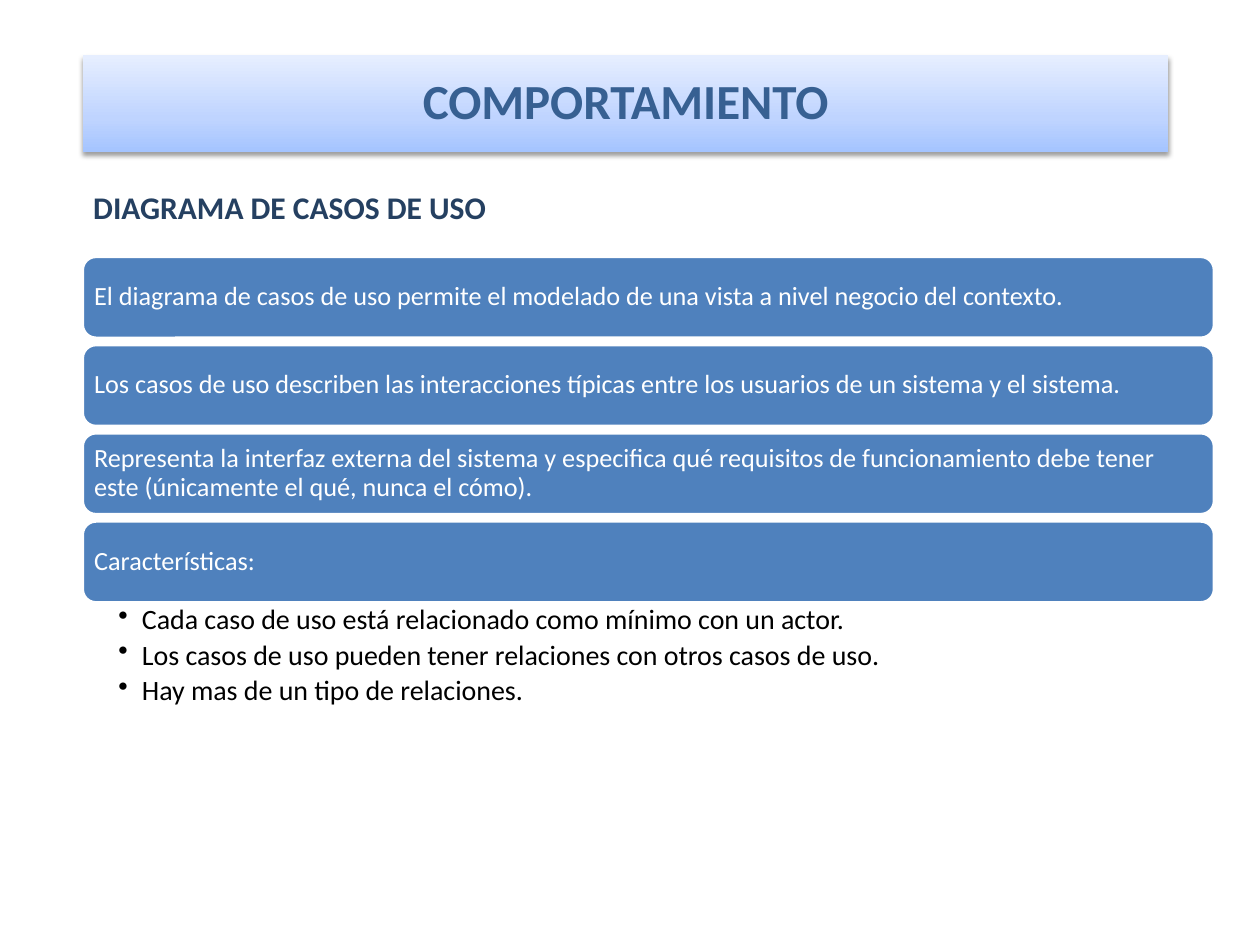
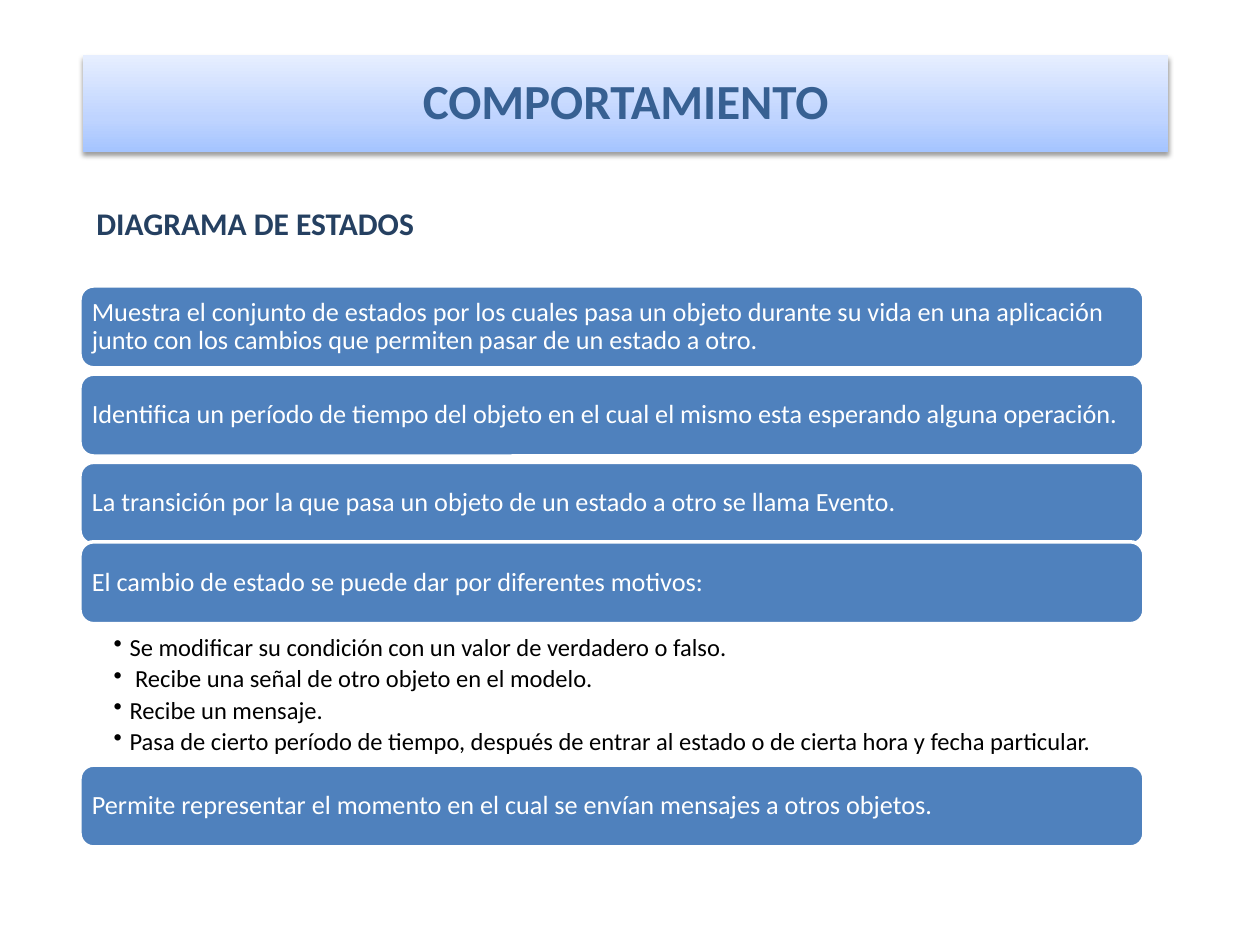
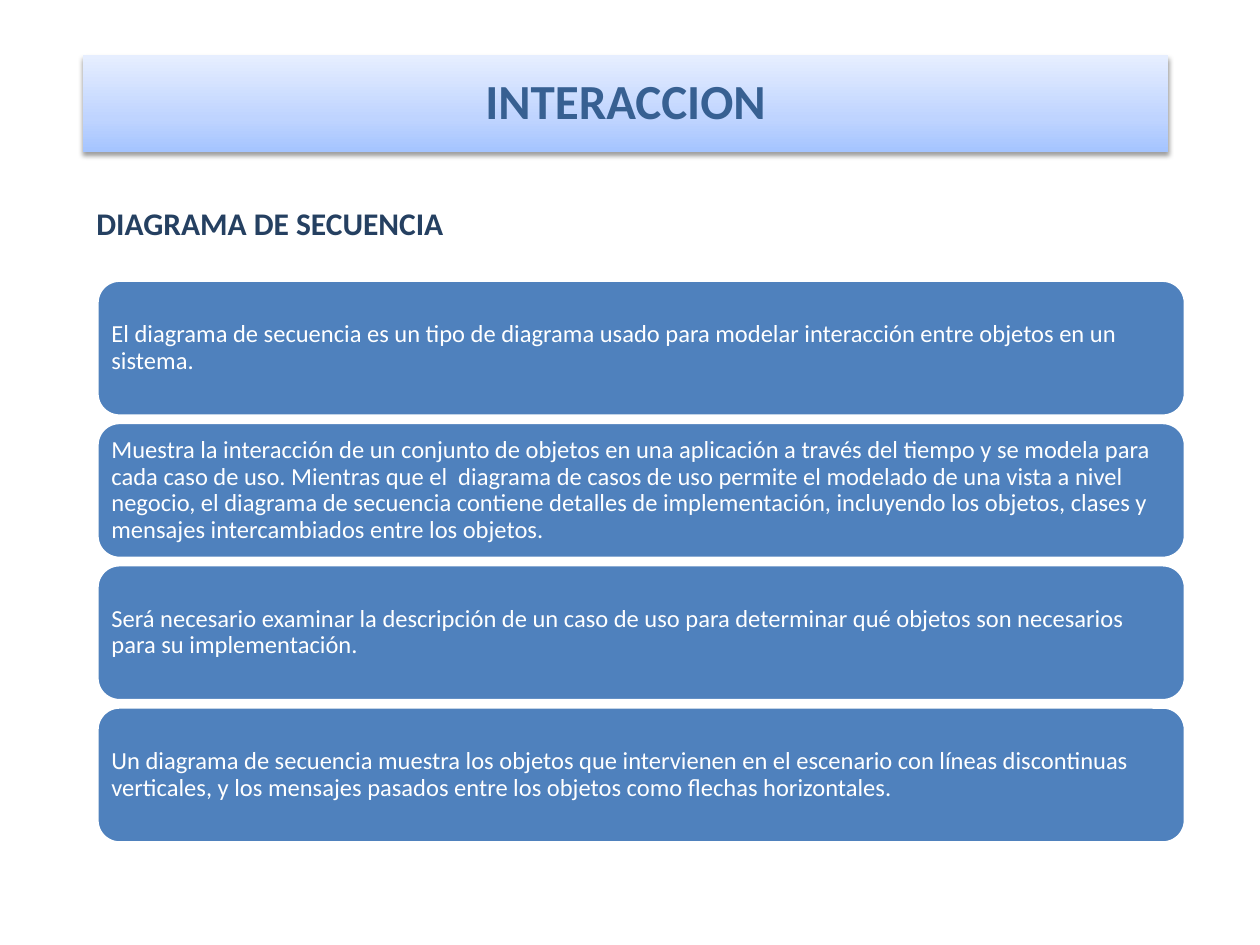
"""Build three slides on UML behaviour and interaction diagrams."""
from lxml import etree
from pptx import Presentation
from pptx.dml.color import RGBColor
from pptx.enum import shapes, text
from pptx.oxml import parse_xml
from pptx.oxml.ns import nsdecls, qn
from pptx.util import Pt

FONT = "Calibri"
WHITE = RGBColor(0xFF, 0xFF, 0xFF)
BLACK = RGBColor(0, 0, 0)
PANEL_BLUE = RGBColor(0x4F, 0x81, 0xBD)
TITLE_BLUE = RGBColor(0x37, 0x60, 0x92)
SUBTITLE_BLUE = RGBColor(0x25, 0x40, 0x61)
BAND_STOPS = [
    (0, RGBColor(0xA4, 0xC4, 0xFF)),
    (35, RGBColor(0xBF, 0xD4, 0xFF)),
    (100, RGBColor(0xE6, 0xEE, 0xFF)),
]
BAND_BOX = (47.5, 31.7, 620, 55.4)
PANEL_HEIGHT = 46.8
PANEL_GAP = 3.6


def place(box):
    """Turn left, top, width and height in points into lengths."""
    return [Pt(length) for length in box]


def set_insets(frame, left, top, right, bottom):
    """Set the four inner margins and turn wrapping on."""
    frame.margin_left, frame.margin_top = Pt(left), Pt(top)
    frame.margin_right, frame.margin_bottom = Pt(right), Pt(bottom)
    frame.word_wrap = True


def write(paragraph, wording, size, color, bold=False):
    """Add one formatted run to a paragraph."""
    run = paragraph.add_run()
    run.text = wording
    run.font.name = FONT
    run.font.size = Pt(size)
    run.font.bold = bold
    run.font.color.rgb = color


def fill_band(band):
    """Give the title band its three-stop gradient and soft shadow."""
    band.fill.gradient()
    band.fill.gradient_angle = 90
    properties = band.element.spPr
    stops = properties.find(qn("a:gradFill")).find(qn("a:gsLst"))
    for stop in list(stops):
        stops.remove(stop)
    for position, color in BAND_STOPS:
        stop = etree.SubElement(stops, qn("a:gs"), pos=str(position * 1000))
        etree.SubElement(stop, qn("a:srgbClr"), val=str(color))
    band.line.fill.background()
    properties.append(parse_xml(
        f'<a:effectLst {nsdecls("a")}>'
        f'<a:outerShdw blurRad="{Pt(3.1)}" dist="{Pt(1.6)}" dir="5400000" rotWithShape="0">'
        '<a:srgbClr val="000000"><a:alpha val="38000"/></a:srgbClr>'
        '</a:outerShdw></a:effectLst>'))


def add_title(slide, wording):
    """Draw the gradient band with the slide title."""
    band = slide.shapes.add_shape(shapes.MSO_SHAPE.RECTANGLE, *place(BAND_BOX))
    fill_band(band)
    frame = band.text_frame
    set_insets(frame, 9.4, 9.4, 9.4, 9.4)
    frame.vertical_anchor = text.MSO_ANCHOR.MIDDLE
    heading = frame.paragraphs[0]
    heading.alignment = text.PP_ALIGN.CENTER
    heading.line_spacing = 0.9
    write(heading, wording, 28, TITLE_BLUE, bold=True)


def add_subtitle(slide, wording, left, top):
    """Write the name of the diagram under the band."""
    box = slide.shapes.add_textbox(*place((left, top, 560, 28.8)))
    box.text_frame.word_wrap = True
    write(box.text_frame.paragraphs[0], wording, 18, SUBTITLE_BLUE, bold=True)


def add_panel(slide, wording, box, size=15):
    """Draw one rounded panel with a statement."""
    panel = slide.shapes.add_shape(shapes.MSO_SHAPE.ROUNDED_RECTANGLE, *place(box))
    panel.shadow.inherit = False
    panel.fill.solid()
    panel.fill.fore_color.rgb = PANEL_BLUE
    panel.line.color.rgb = WHITE
    panel.line.width = Pt(2)
    frame = panel.text_frame
    set_insets(frame, 4.5, 4.5, 4.5, 4.5)
    frame.vertical_anchor = text.MSO_ANCHOR.MIDDLE
    statement = frame.paragraphs[0]
    statement.alignment = text.PP_ALIGN.LEFT
    statement.line_spacing = 0.9
    write(statement, wording, size, WHITE)


def add_panels(slide, statements, left, top, width, height=PANEL_HEIGHT, size=15):
    """Stack panels of equal height with equal gaps."""
    for row, statement in enumerate(statements):
        y = top + row * (height + PANEL_GAP)
        add_panel(slide, statement, (left, y, width, height), size)


def add_bullets(slide, items, box, inset, hanging, size):
    """Write a bulleted list with a hanging indent."""
    frame = slide.shapes.add_textbox(*place(box)).text_frame
    set_insets(frame, inset, 1.6, 8.5, 1.6)
    for row, item in enumerate(items):
        paragraph = frame.add_paragraph() if row else frame.paragraphs[0]
        paragraph.line_spacing = 0.9
        paragraph.space_after = Pt(size * 0.2)
        properties = paragraph._p.get_or_add_pPr()
        properties.set("marL", str(Pt(hanging)))
        properties.set("indent", str(-Pt(hanging)))
        etree.SubElement(properties, qn("a:buChar"), char="•")
        write(paragraph, item, size, BLACK)


def add_use_cases(slide):
    """Fill the slide on use case diagrams."""
    add_title(slide, "COMPORTAMIENTO")
    add_subtitle(slide, "DIAGRAMA DE CASOS DE USO", 46.2, 104)
    left, width = 47, 647
    add_panels(slide, [
        "El diagrama de casos de uso permite el modelado de una vista a nivel negocio del contexto.",
        "Los casos de uso describen las interacciones típicas entre los usuarios de un sistema y el sistema.",
        "Representa la interfaz externa del sistema y especifica qué requisitos de funcionamiento "
        "debe tener este (únicamente el qué, nunca el cómo).",
        "Características:",
    ], left, 146.5, width)
    add_bullets(slide, [
        "Cada caso de uso está relacionado como mínimo con un actor.",
        "Los casos de uso pueden tener relaciones con otros casos de uso.",
        "Hay mas de un tipo de relaciones.",
    ], (left, 344.2, width, 64.8), 20.6, 13.5, 16)


def add_states(slide):
    """Fill the slide on state diagrams."""
    add_title(slide, "COMPORTAMIENTO")
    add_subtitle(slide, "DIAGRAMA DE ESTADOS", 48, 113.2)
    left, width = 45.7, 608
    add_panels(slide, [
        "Muestra el conjunto de estados por los cuales pasa un objeto durante su vida en una "
        "aplicación junto con los cambios que permiten pasar de un estado a otro.",
        "Identifica un período de tiempo del objeto en el cual el mismo esta esperando alguna operación.",
        "La transición por la que pasa un objeto de un estado a otro se llama Evento.",
    ], left, 163.4, width)
    add_panel(slide, "El cambio de estado se puede dar por diferentes motivos:",
              (left, 309.6, width, PANEL_HEIGHT))
    add_bullets(slide, [
        "Se modificar su condición con un valor de verdadero o falso.",
        " Recibe una señal de otro objeto en el modelo.",
        "Recibe un mensaje.",
        "Pasa de cierto período de tiempo, después de entrar al estado o de cierta hora y fecha particular.",
    ], (left, 361.4, width, 75.6), 19.3, 9, 14)
    add_panel(slide, "Permite representar el momento en el cual se envían mensajes a otros objetos.",
              (left, 437.2, width, PANEL_HEIGHT))


def add_sequence(slide):
    """Fill the slide on sequence diagrams."""
    add_title(slide, "INTERACCION")
    add_subtitle(slide, "DIAGRAMA DE SECUENCIA", 48, 113)
    add_panels(slide, [
        "El diagrama de secuencia es un tipo de diagrama usado para modelar interacción entre "
        "objetos en un sistema.",
        "Muestra la interacción de un conjunto de objetos en una aplicación a través del tiempo y "
        "se modela para cada caso de uso. Mientras que el\u00a0 diagrama de casos de uso permite el "
        "modelado de una vista a nivel negocio, el diagrama de secuencia contiene detalles de "
        "implementación, incluyendo los objetos, clases y mensajes intercambiados entre los objetos.",
        "Será necesario examinar la descripción de un caso de uso para determinar qué objetos son "
        "necesarios para su implementación.",
        "Un diagrama de secuencia muestra los objetos que intervienen en el escenario con líneas "
        "discontinuas verticales, y los mensajes pasados entre los objetos como flechas horizontales.",
    ], 55.4, 160.1, 622, height=77.7, size=14)


def main():
    """Create the presentation and save it."""
    presentation = Presentation()
    presentation.slide_width, presentation.slide_height = Pt(720), Pt(540)
    blank = presentation.slide_layouts[6]
    for fill_slide in (add_use_cases, add_states, add_sequence):
        fill_slide(presentation.slides.add_slide(blank))
    presentation.save("out.pptx")


main()
